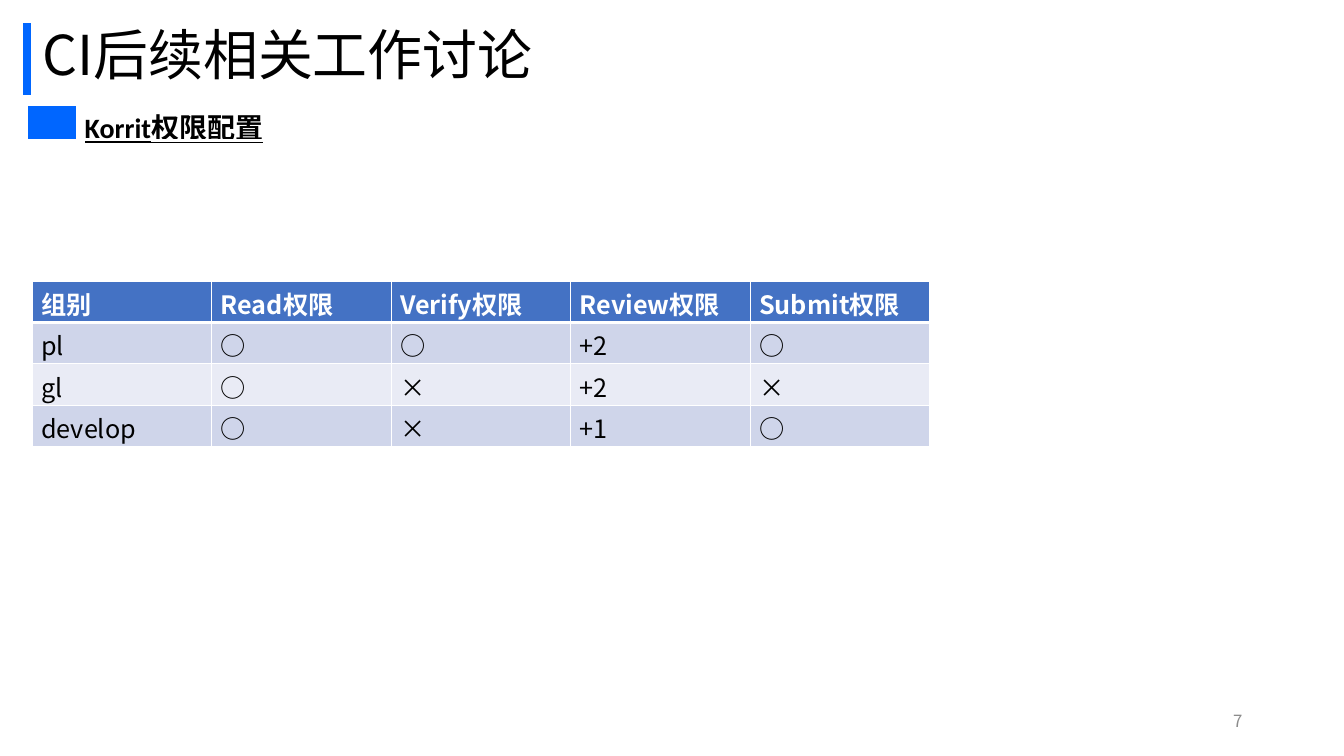
from dataclasses import dataclass

from lxml import etree
from pptx import Presentation
from pptx import util as u
from pptx.dml.color import RGBColor
from pptx.enum import shapes, text
from pptx.oxml import ns

CJK_FONT = "Noto Sans CJK SC"
BLUE, WHITE, BLACK, GREY = "0066FF", "FFFFFF", "000000", "8C8C8C"
HEADER_FILL, BAND_FILLS = "4472C4", ("CFD5EA", "E9EBF5")
PERMISSIONS = (
    ("组别", "Read权限", "Verify权限", "Review权限", "Submit权限"),
    ("pl", "○", "○", "+2", "○"),
    ("gl", "○", "×", "+2", "×"),
    ("develop", "○", "×", "+1", "○"),
)


@dataclass(frozen=True)
class Style:
    size: float
    color: str = BLACK
    bold: bool = False
    underline: bool = False
    font: str = CJK_FONT
    align: text.PP_ALIGN = text.PP_ALIGN.LEFT
    spacing: float = 1.0


@dataclass(frozen=True)
class Label:
    words: str
    box: tuple[float, float, float, float]
    style: Style


LABELS = (
    Label("CI后续相关工作讨论", (0.32, 0.22, 11.97, 0.71), Style(39.2, spacing=0.9)),
    Label("7", (9.42, 6.95, 3, 0.4), Style(12, GREY, align=text.PP_ALIGN.RIGHT)),
)
HEADING = Style(20, bold=True, underline=True, font="Calibri", align=text.PP_ALIGN.JUSTIFY)
HEADER, BODY = Style(18, WHITE, bold=True), Style(18)


def rgb(value: str) -> RGBColor:
    return RGBColor.from_string(value)


def write(frame, words: str, style: Style) -> None:
    paragraph = frame.paragraphs[0]
    paragraph.alignment = style.align
    paragraph.line_spacing = style.spacing
    run = paragraph.add_run()
    run.text = words
    font = run.font
    font.name, font.size = style.font, u.Pt(style.size)
    font.bold, font.underline = style.bold, style.underline
    font.color.rgb = rgb(style.color)
    latin = font._element.find(ns.qn("a:latin"))
    east_asian = etree.Element(ns.qn("a:ea"), typeface=CJK_FONT)
    latin.addnext(east_asian)


def add_label(slide, label: Label) -> None:
    frame = slide.shapes.add_textbox(*map(u.Inches, label.box)).text_frame
    frame.word_wrap = True
    frame.vertical_anchor = text.MSO_ANCHOR.MIDDLE
    write(frame, label.words, label.style)


def add_title_bar(slide) -> None:
    ends = map(u.Inches, (0.27, 0.23, 0.27, 0.94))
    bar = slide.shapes.add_connector(shapes.MSO_CONNECTOR.STRAIGHT, *ends)
    bar.line.color.rgb = rgb(BLUE)
    bar.line.width = u.Pt(6)
    etree.SubElement(bar._element.spPr, ns.qn("a:effectLst"))


def add_grid(slide, left: float, top: float, widths: list[float], heights: list[float]):
    size = map(u.Inches, (left, top, sum(widths), sum(heights)))
    table = slide.shapes.add_table(len(heights), len(widths), *size).table
    table.first_row = table.horz_banding = False
    for column, width in zip(table.columns, widths):
        column.width = u.Inches(width)
    for row, height in zip(table.rows, heights):
        row.height = u.Inches(height)
    return table


def fill_cell(cell, color: str, margins: tuple[float, float]) -> None:
    cell.fill.solid()
    cell.fill.fore_color.rgb = rgb(color)
    cell.vertical_anchor = text.MSO_ANCHOR.MIDDLE
    cell.margin_left = cell.margin_right = u.Inches(margins[0])
    cell.margin_top = cell.margin_bottom = u.Inches(margins[1])


def border_cell(cell, widths: dict[str, float]) -> None:
    properties = cell._tc.get_or_add_tcPr()
    for index, (side, width) in enumerate(widths.items()):
        line = etree.Element(ns.qn(f"a:ln{side}"), w=str(u.Pt(width)))
        solid = etree.SubElement(line, ns.qn("a:solidFill"))
        etree.SubElement(solid, ns.qn("a:srgbClr"), val=WHITE)
        properties.insert(index, line)


def add_heading(slide) -> None:
    table = add_grid(slide, 0.27, 1.05, [0.49, 9.28], [0.34])
    for cell, color in zip(table.rows[0].cells, (BLUE, WHITE)):
        fill_cell(cell, color, (0.08, 0))
    write(table.cell(0, 1).text_frame, "Korrit权限配置", HEADING)


def add_permissions(slide) -> None:
    table = add_grid(slide, 0.32, 2.79, [1.78] * 5, [0.41] * 4)
    for index, words in enumerate(PERMISSIONS):
        is_header = index == 0
        color = HEADER_FILL if is_header else BAND_FILLS[(index - 1) % 2]
        borders = {"L": 1, "R": 1, "T": 3 if index == 1 else 1, "B": 3 if is_header else 1}
        for cell, word in zip(table.rows[index].cells, words):
            fill_cell(cell, color, (0.09, 0.04))
            border_cell(cell, borders)
            write(cell.text_frame, word, HEADER if is_header else BODY)


def main() -> None:
    """Build the slide on code review permissions."""
    presentation = Presentation()
    presentation.slide_width, presentation.slide_height = u.Inches(13.33), u.Inches(7.5)
    slide = presentation.slides.add_slide(presentation.slide_layouts[6])
    add_title_bar(slide)
    for label in LABELS:
        add_label(slide, label)
    add_heading(slide)
    add_permissions(slide)
    presentation.save("out.pptx")


if __name__ == "__main__":
    main()
